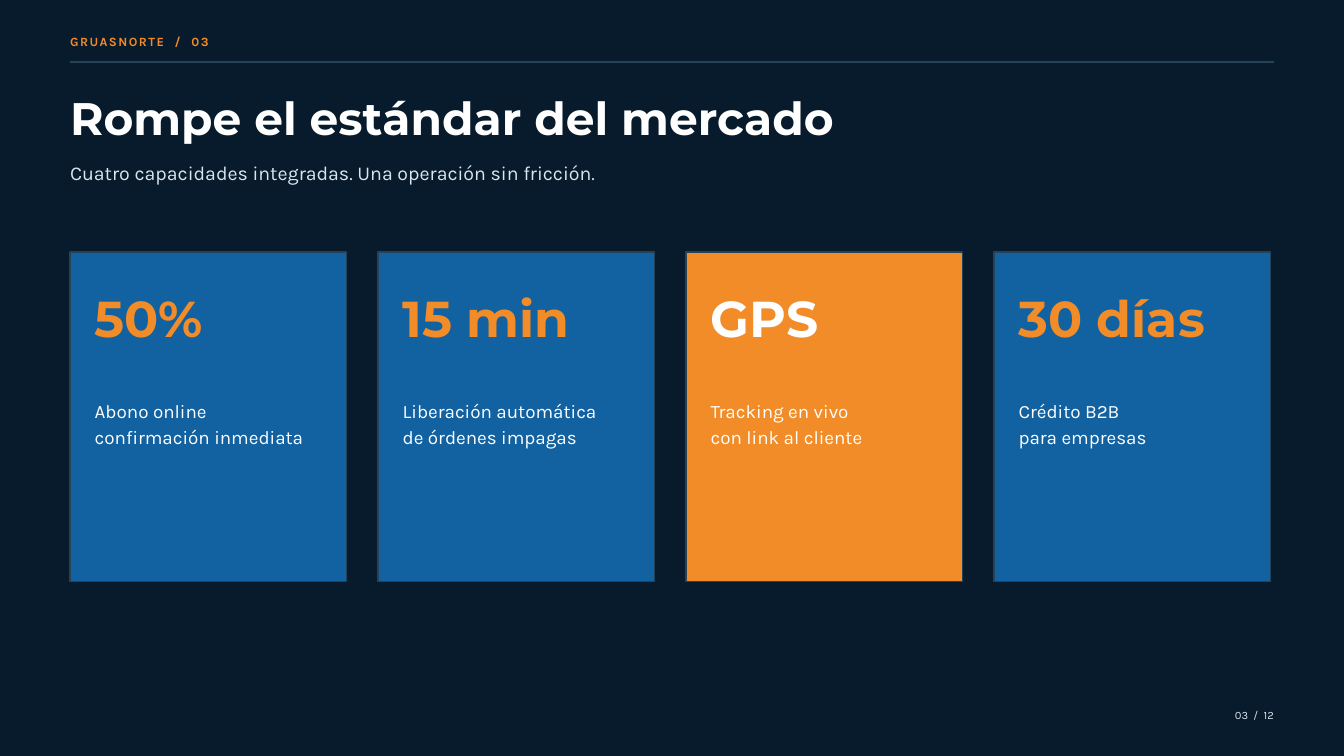
from pptx import Presentation
from pptx.dml.color import RGBColor
from pptx.enum.shapes import MSO_CONNECTOR, MSO_SHAPE
from pptx.enum.text import MSO_ANCHOR, MSO_AUTO_SIZE, PP_ALIGN
from pptx.oxml.ns import qn
from pptx.util import Cm, Pt
from lxml.etree import SubElement

NAVY, BLUE, ORANGE = "081B2C", "1261A0", "F28C28"
WHITE, MIST, SLATE = "FFFFFF", "D9E6EE", "244258"
MARGIN, CONTENT_WIDTH = 2.65, 45.5
CARD_TOP, CARD_WIDTH, CARD_HEIGHT = 9.53, 10.45, 12.45
CARD_PITCH, CARD_PADDING = 11.64, 0.93

CAPABILITIES = [
    ("50%", ["Abono online", "confirmación inmediata"], BLUE, ORANGE),
    ("15 min", ["Liberación automática", "de órdenes impagas"], BLUE, ORANGE),
    ("GPS", ["Tracking en vivo", "con link al cliente"], ORANGE, WHITE),
    ("30 días", ["Crédito B2B", "para empresas"], BLUE, ORANGE),
]


def color(hex_value):
    return RGBColor.from_string(hex_value)


def write(frame, lines, *, size, leading, ink, font="Karla", bold=False,
          align=PP_ALIGN.LEFT, tracking=None):
    frame.word_wrap = True
    frame.auto_size = MSO_AUTO_SIZE.NONE
    frame.vertical_anchor = MSO_ANCHOR.TOP
    frame.margin_left = frame.margin_right = frame.margin_top = frame.margin_bottom = 0
    for index, line in enumerate(lines):
        paragraph = frame.add_paragraph() if index else frame.paragraphs[0]
        paragraph.alignment = align
        paragraph.line_spacing = Pt(leading)
        paragraph.space_before = Pt(0)
        run = paragraph.add_run()
        run.text = line
        run.font.name = font
        run.font.size = Pt(size)
        run.font.bold = bold
        run.font.color.rgb = color(ink)
        if tracking:
            run._r.get_or_add_rPr().set("spc", str(int(tracking * 100)))


def add_text(slide, left, top, width, height, lines, **style):
    box = slide.shapes.add_textbox(Cm(left), Cm(top), Cm(width), Cm(height))
    write(box.text_frame, lines, **style)


def add_title(slide, text):
    title = slide.shapes.title
    title.left, title.top = Cm(MARGIN), Cm(3.66)
    title.width, title.height = Cm(29.1), Cm(1.85)
    write(title.text_frame, [text], size=48.8, leading=51.2, ink=WHITE,
          font="Montserrat", bold=True)


def add_rule(slide, top):
    rule = slide.shapes.add_connector(
        MSO_CONNECTOR.STRAIGHT, Cm(MARGIN), Cm(top), Cm(MARGIN + CONTENT_WIDTH), Cm(top))
    rule.line.color.rgb = color(SLATE)
    rule.line.width = Pt(1.5)
    SubElement(rule._element.spPr, qn("a:effectLst"))


def add_card(slide, left, figure, description, fill, figure_ink):
    card = slide.shapes.add_shape(
        MSO_SHAPE.RECTANGLE, Cm(left), Cm(CARD_TOP), Cm(CARD_WIDTH), Cm(CARD_HEIGHT))
    card.shadow.inherit = False
    card.fill.solid()
    card.fill.fore_color.rgb = color(fill)
    card.line.color.rgb = color(SLATE)
    card.line.width = Pt(1.5)
    text_left = left + CARD_PADDING
    text_width = CARD_WIDTH - 2 * CARD_PADDING
    add_text(slide, text_left, 11.15, text_width, 2.1, [figure], size=54, leading=56.7,
             ink=figure_ink, font="Montserrat", bold=True)
    add_text(slide, text_left, 15.01, text_width, 1.88, description, size=20.2,
             leading=27.3, ink=WHITE)


def main():
    deck = Presentation()
    deck.slide_width, deck.slide_height = Cm(50.8), Cm(28.575)
    slide = deck.slides.add_slide(deck.slide_layouts[5])
    slide.background.fill.solid()
    slide.background.fill.fore_color.rgb = color(NAVY)

    add_text(slide, MARGIN, 1.19, 13.77, 0.64, ["GRUASNORTE  /  03"], size=13.5,
             leading=18.9, ink=ORANGE, bold=True, tracking=1.6)
    add_rule(slide, 2.34)
    add_title(slide, "Rompe el estándar del mercado")
    add_text(slide, MARGIN, 5.97, 25.93, 0.97,
             ["Cuatro capacidades integradas. Una operación sin fricción."],
             size=21, leading=28.4, ink=MIST)
    for position, capability in enumerate(CAPABILITIES):
        add_card(slide, MARGIN + position * CARD_PITCH, *capability)
    add_text(slide, 43.92, 26.72, 4.23, 0.53, ["03  /  12"], size=12, leading=16.2,
             ink=MIST, align=PP_ALIGN.RIGHT)
    deck.save("out.pptx")


if __name__ == "__main__":
    main()
